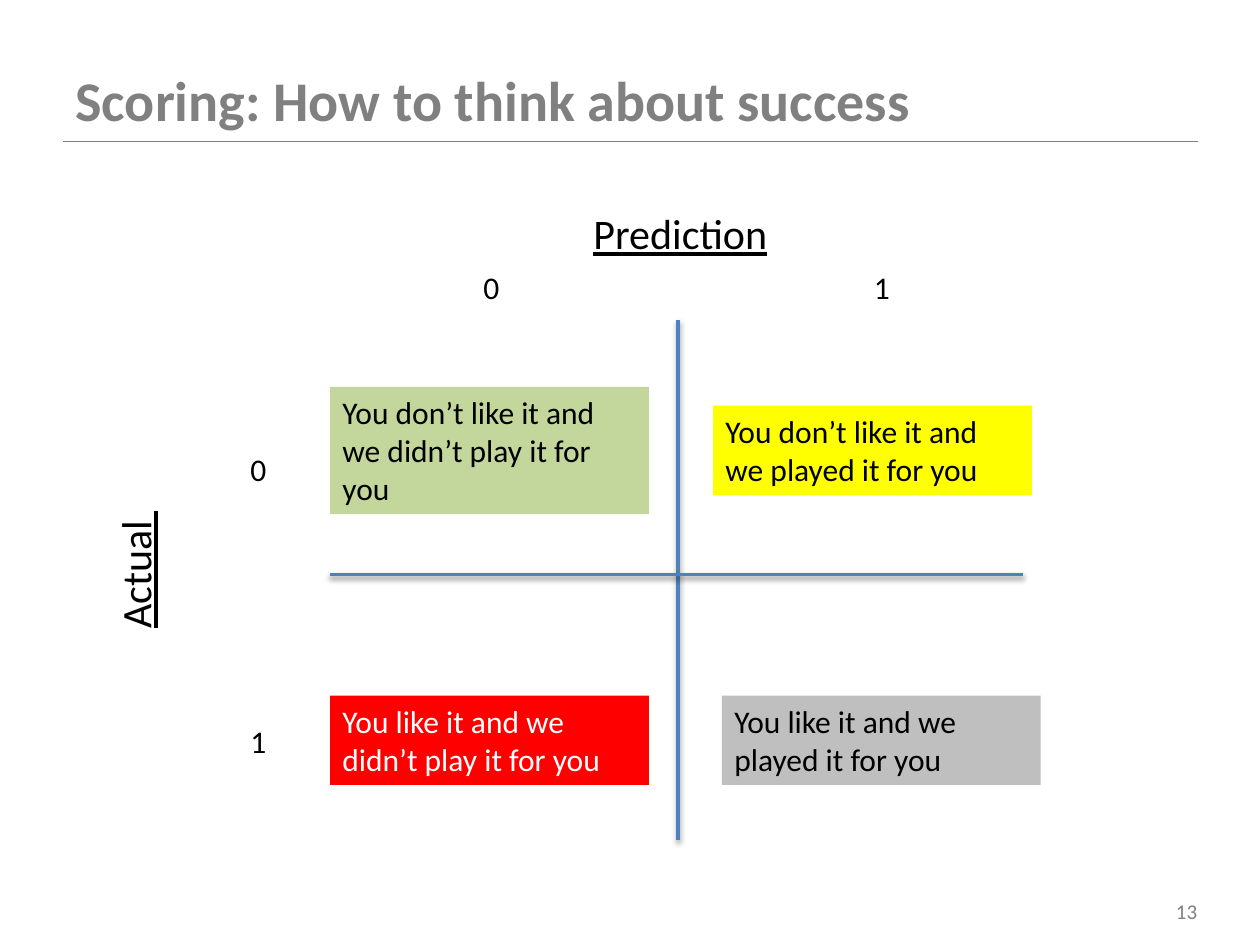
from dataclasses import dataclass

from lxml import etree
from pptx import Presentation
from pptx.dml.color import RGBColor
from pptx.enum.dml import MSO_LINE_DASH_STYLE as DASH
from pptx.enum.shapes import MSO_CONNECTOR as CONNECTOR, MSO_SHAPE as SHAPE
from pptx.enum.text import MSO_ANCHOR as ANCHOR, PP_ALIGN as ALIGN
from pptx.oxml import parse_xml
from pptx.oxml.ns import nsdecls, qn
from pptx.util import Inches, Pt


@dataclass(frozen=True)
class Theme:
    font: str = "Calibri"
    title_size: int = 32
    axis_size: int = 24
    body_size: int = 18
    number_size: int = 12
    black: str = "000000"
    white: str = "FFFFFF"
    muted: str = "808080"
    axis: str = "4F81BD"
    green: str = "C3D69B"
    yellow: str = "FFFF00"
    red: str = "FF0000"
    gray: str = "BFBFBF"


THEME = Theme()
AXIS_SHADOW = (
    f'<a:effectLst {nsdecls("a")}><a:outerShdw blurRad="40000" dist="20000" '
    'dir="5400000" rotWithShape="0"><a:srgbClr val="000000">'
    '<a:alpha val="38000"/></a:srgbClr></a:outerShdw></a:effectLst>'
)


def write(shape, text, size, color=THEME.black, align=ALIGN.LEFT, anchor=ANCHOR.TOP):
    frame = shape.text_frame
    frame.word_wrap = True
    frame.vertical_anchor = anchor
    paragraph = frame.paragraphs[0]
    paragraph.text = text
    paragraph.alignment = align
    paragraph.font.name = THEME.font
    paragraph.font.size = Pt(size)
    paragraph.font.color.rgb = RGBColor.from_string(color)
    return paragraph


def add_text(slide, box, *args, **options):
    shape = slide.shapes.add_textbox(*map(Inches, box))
    return shape, write(shape, *args, **options)


def add_line(slide, start, end, color, width, shadow=False):
    line = slide.shapes.add_connector(CONNECTOR.STRAIGHT, *map(Inches, (*start, *end)))
    line.line.color.rgb = RGBColor.from_string(color)
    line.line.width = Pt(width)
    properties = line.element.find(qn("p:spPr"))
    if shadow:
        properties.append(parse_xml(AXIS_SHADOW))
    else:
        etree.SubElement(properties, qn("a:effectLst"))
    return line


def add_header(slide, box, title):
    left, top, width, height = box
    rule_y = top + height + 0.02
    rule = add_line(slide, (left, rule_y), (left + width, rule_y), THEME.muted, 0.1)
    rule.line.dash_style = DASH.ROUND_DOT
    _, paragraph = add_text(slide, box, title, THEME.title_size, THEME.muted,
                            anchor=ANCHOR.BOTTOM)
    paragraph.font.bold = True
    paragraph.line_spacing = Pt(35)


def add_axis_title(slide, box, text, rotation=0):
    shape, paragraph = add_text(slide, box, text, THEME.axis_size, align=ALIGN.CENTER)
    shape.rotation = rotation
    paragraph.font.underline = True


def add_outcome(slide, box, text, fill, color):
    shape = slide.shapes.add_shape(SHAPE.RECTANGLE, *map(Inches, box))
    shape.shadow.inherit = False
    shape.fill.solid()
    shape.fill.fore_color.rgb = RGBColor.from_string(fill)
    shape.line.fill.background()
    write(shape, text, THEME.body_size, color)


def add_matrix(slide, box):
    left, top, width, height = box
    middle_x, middle_y = left + 2.76, top + 2.02
    add_line(slide, (middle_x, top), (middle_x, top + height), THEME.axis, 2, True)
    add_line(slide, (left + width, middle_y), (left, middle_y), THEME.axis, 2, True)

    add_axis_title(slide, (left - 2.35, top + 1.73, 1.6, 0.5), "Actual ", 270)
    add_axis_title(slide, (left + 1.98, top - 0.94, 1.6, 0.5), "Prediction")

    column_labels = [(left + 1.05 + 3.1 * value, top - 0.46) for value in range(2)]
    row_labels = [(left - 0.8, top + 0.98 + 2.16 * value) for value in range(2)]
    for labels in (column_labels, row_labels):
        for value, position in enumerate(labels):
            add_text(slide, (*position, 0.46, 0.4), str(value), THEME.body_size,
                     align=ALIGN.CENTER)

    outcomes = [
        (0, 0.53, 1.01, "You don’t like it and we didn’t play it for you",
         THEME.green, THEME.black),
        (3.04, 0.68, 0.71, "You don’t like it and we played it for you",
         THEME.yellow, THEME.black),
        (0, 2.98, 0.71, "You like it and we didn’t play it for you",
         THEME.red, THEME.white),
        (3.11, 2.98, 0.71, "You like it and we played it for you",
         THEME.gray, THEME.black),
    ]
    for x, y, box_height, text, fill, color in outcomes:
        add_outcome(slide, (left + x, top + y, 2.53, box_height), text, fill, color)


def main():
    presentation = Presentation()
    presentation.slide_width = Inches(10)
    presentation.slide_height = Inches(7.5)
    slide = presentation.slides.add_slide(presentation.slide_layouts[6])
    add_header(slide, (0.5, -0.01, 9, 1.11), "Scoring: How to think about success")
    add_matrix(slide, (2.62, 2.54, 5.5, 4.13))
    add_text(slide, (9.02, 7.08, 0.58, 0.33), "13", THEME.number_size, THEME.muted,
             align=ALIGN.RIGHT)
    presentation.save("out.pptx")


if __name__ == "__main__":
    main()
